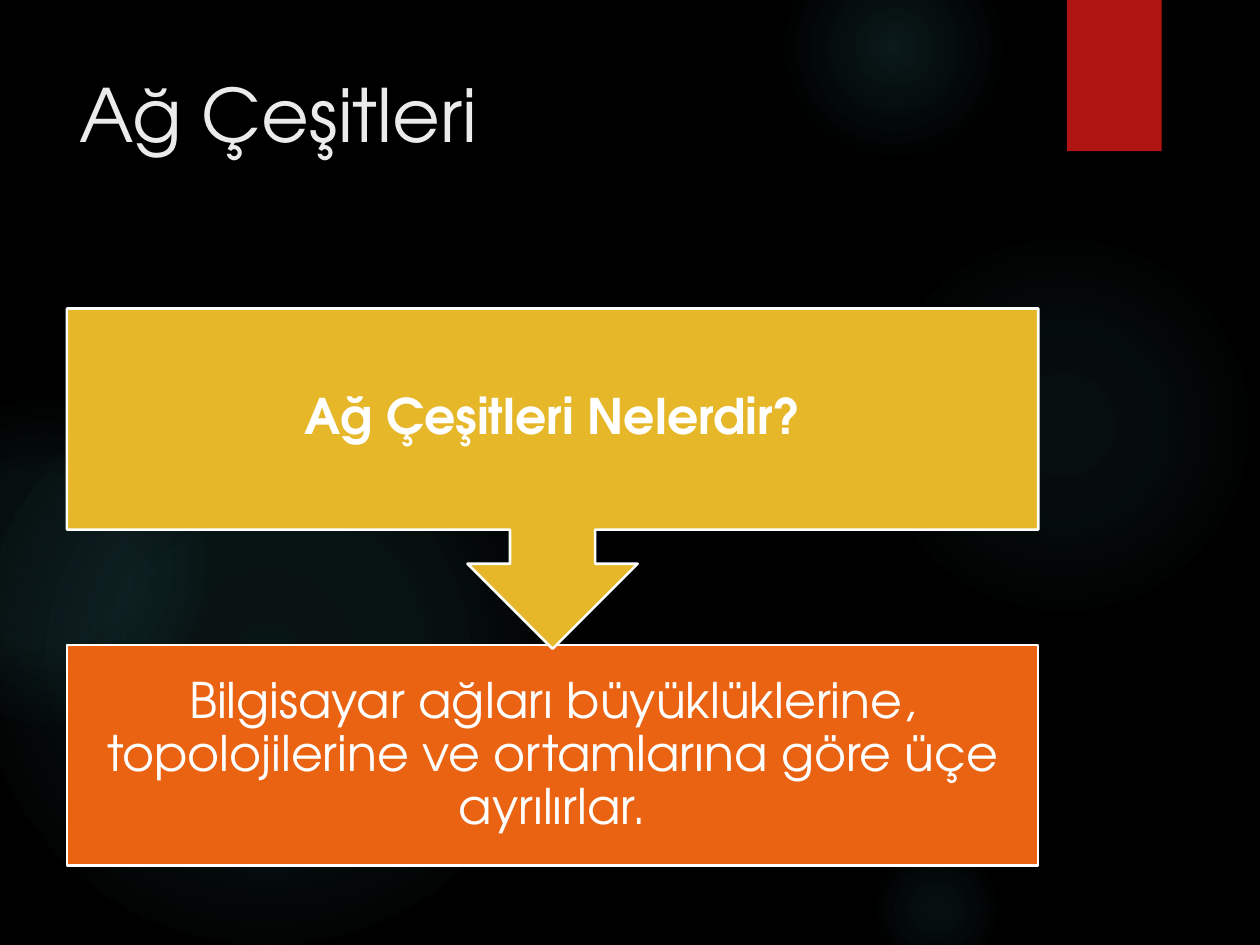
from dataclasses import dataclass

from lxml import etree
from pptx import Presentation
from pptx.dml.color import RGBColor
from pptx.enum.shapes import MSO_SHAPE
from pptx.enum.text import MSO_ANCHOR, PP_ALIGN
from pptx.oxml.ns import qn
from pptx.util import Cm, Pt


@dataclass(frozen=True)
class Theme:
    font: str = "TeX Gyre Adventor"
    background: str = "000000"
    glow: str = "50B9C1"
    ribbon: str = "B01513"
    title: str = "EBEBEB"
    question: str = "E6B729"
    answer: str = "EA6312"
    light: str = "FFFFFF"
    title_size: int = 42
    body_size: int = 28


theme = Theme()


def add_text(shape, text, size, color, alignment, bold=False):
    paragraph = shape.text_frame.paragraphs[0]
    paragraph.alignment = alignment
    run = paragraph.add_run()
    run.text = text
    run.font.name = theme.font
    run.font.size = Pt(size)
    run.font.bold = bold
    run.font.color.rgb = RGBColor.from_string(color)
    return paragraph


def fill_glow(shape, stops):
    shape.fill.background()
    properties = shape.fill._xPr
    gradient = etree.Element(qn("a:gradFill"), rotWithShape="1")
    stop_list = etree.SubElement(gradient, qn("a:gsLst"))
    for position, opacity in stops:
        stop = etree.SubElement(stop_list, qn("a:gs"), pos=str(position * 1000))
        color = etree.SubElement(stop, qn("a:srgbClr"), val=theme.glow)
        etree.SubElement(color, qn("a:alpha"), val=str(opacity * 1000))
    path = etree.SubElement(gradient, qn("a:path"))
    path.set("path", "circle")
    etree.SubElement(path, qn("a:fillToRect"), l="50000", t="50000", r="50000", b="50000")
    properties.replace(properties.find(qn("a:noFill")), gradient)


presentation = Presentation()
presentation.slide_width = Cm(25.4)
presentation.slide_height = Cm(19.05)
slide = presentation.slides.add_slide(presentation.slide_layouts[5])
slide.background.fill.solid()
slide.background.fill.fore_color.rgb = RGBColor.from_string(theme.background)

glows = [
    (17.5, 4.65, 7.82, 7, 6, 69),
    (15.8, -1.27, 4.45, 14, 7, 73),
    (17.5, 16.94, 2.74, 9, 5, 66),
    (-0.43, 7.42, 11.63, 11, 10, 75),
    (-2.34, 8.05, 6.55, 8, 8, 72),
]
for left, top, diameter, center, middle, edge in glows:
    glow = slide.shapes.add_shape(
        MSO_SHAPE.OVAL, Cm(left), Cm(top), Cm(diameter), Cm(diameter)
    )
    glow.shadow.inherit = False
    glow.line.fill.background()
    fill_glow(glow, [(0, center), (36, middle), (edge, 0)])

ribbon = slide.shapes.add_shape(
    MSO_SHAPE.RECTANGLE, Cm(21.51), Cm(0), Cm(1.91), Cm(3.05)
)
ribbon.shadow.inherit = False
ribbon.fill.solid()
ribbon.fill.fore_color.rgb = RGBColor.from_string(theme.ribbon)
ribbon.line.fill.background()

content_left, content_width = Cm(1.35), Cm(19.58)

title = slide.shapes.title
title.left, title.top = content_left, Cm(1.27)
title.width, title.height = content_width, Cm(3.89)
title.text_frame.vertical_anchor = MSO_ANCHOR.TOP
add_text(title, "Ağ Çeşitleri", theme.title_size, theme.title, PP_ALIGN.LEFT)

steps = [
    (MSO_SHAPE.RECTANGLE, 13, 4.45, theme.answer, False,
     "Bilgisayar ağları büyüklüklerine, topolojilerine ve ortamlarına göre üçe ayrılırlar."),
    (MSO_SHAPE.DOWN_ARROW_CALLOUT, 6.22, 6.86, theme.question, True,
     "Ağ Çeşitleri Nelerdir?"),
]
for kind, top, height, color, bold, text in steps:
    step = slide.shapes.add_shape(kind, content_left, Cm(top), content_width, Cm(height))
    step.shadow.inherit = False
    step.fill.solid()
    step.fill.fore_color.rgb = RGBColor.from_string(color)
    step.line.color.rgb = RGBColor.from_string(theme.light)
    step.line.width = Pt(1.5)
    frame = step.text_frame
    frame.word_wrap = True
    frame.vertical_anchor = MSO_ANCHOR.MIDDLE
    frame.margin_left = frame.margin_right = Cm(0.56)
    frame.margin_top = frame.margin_bottom = Cm(0.56)
    paragraph = add_text(step, text, theme.body_size, theme.light, PP_ALIGN.CENTER, bold)
    paragraph.line_spacing = 0.9

presentation.save("out.pptx")
